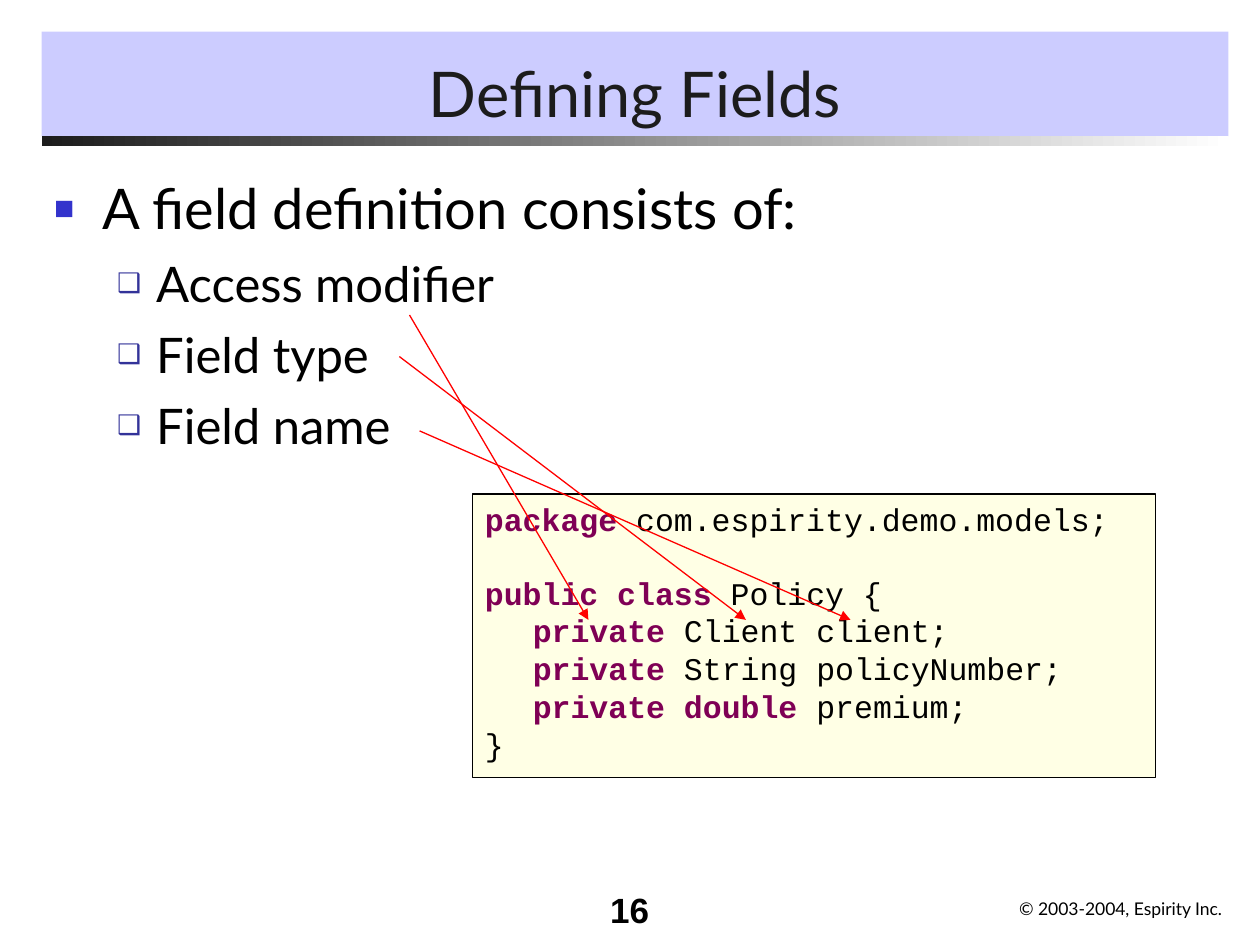
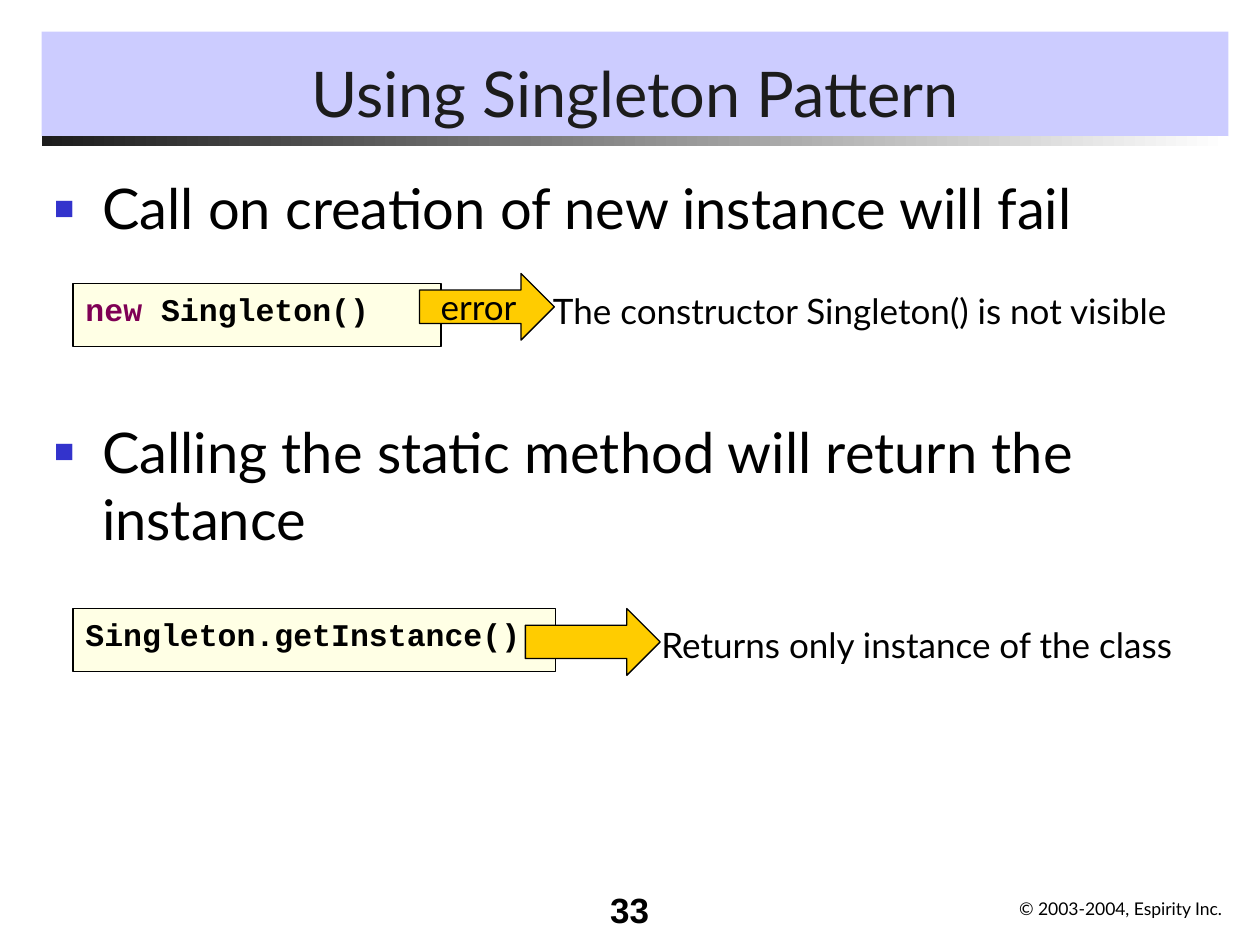
from dataclasses import dataclass

from lxml import etree
from pptx import Presentation
from pptx.dml.color import RGBColor
from pptx.enum.shapes import MSO_CONNECTOR, MSO_SHAPE
from pptx.enum.text import MSO_ANCHOR, MSO_AUTO_SIZE, PP_ALIGN
from pptx.oxml.ns import qn
from pptx.util import Inches, Pt

# Colours
BLACK = RGBColor(0x00, 0x00, 0x00)
WHITE = RGBColor(0xFF, 0xFF, 0xFF)
CHARCOAL = RGBColor(0x1C, 0x1C, 0x1C)
LAVENDER = RGBColor(0xCC, 0xCC, 0xFF)
BLUE = RGBColor(0x33, 0x33, 0xCC)
NAVY = RGBColor(0x33, 0x33, 0x99)
CREAM = RGBColor(0xFF, 0xFF, 0xCC)
KEYWORD = RGBColor(0x7F, 0x00, 0x55)
AMBER = RGBColor(0xFF, 0xCC, 0x00)
RED = RGBColor(0xFF, 0x00, 0x00)

# Enum members
RECT, RIGHT_ARROW = MSO_SHAPE.RECTANGLE, MSO_SHAPE.RIGHT_ARROW
STRAIGHT = MSO_CONNECTOR.STRAIGHT
TOP, MIDDLE, BOTTOM = MSO_ANCHOR.TOP, MSO_ANCHOR.MIDDLE, MSO_ANCHOR.BOTTOM
LEFT, CENTER, RIGHT = PP_ALIGN.LEFT, PP_ALIGN.CENTER, PP_ALIGN.RIGHT
NO_AUTOFIT = MSO_AUTO_SIZE.NONE

# Text formats
TITLE = dict(name="Lato", size=Pt(36), color=CHARCOAL)
NUMBER = dict(name="Arial", size=Pt(20), bold=True, color=BLACK)
FOOTER = dict(name="Lato", size=Pt(10), color=BLACK)
LABEL = dict(name="Lato", size=Pt(20), color=BLACK)
CODE = dict(name="Courier New", size=Pt(18), bold=False, color=BLACK)
CODE_BOLD = {**CODE, "bold": True}
CODE_KEY = {**CODE_BOLD, "color": KEYWORD}

CODE_INDENT = 0.38
CODE_LINE_PT = 20.4
COPYRIGHT = "© 2003-2004, Espirity Inc."


@dataclass
class Level:
    size: float
    margin: float
    hanging: float
    before: float
    char: str
    color: RGBColor
    percent: int


LEVELS = (
    Level(32, 0.38, 0.38, 8, "■", BLUE, 60),
    Level(28, 0.81, 0.31, 7, "❑", NAVY, 55),
)


@dataclass
class Item:
    text: str
    level: int = 0
    gap_lines: int = 0  # whole lines left open above the item


@dataclass
class CodeLine:
    runs: list
    gap_lines: int = 0


@dataclass
class Box:
    left: float
    top: float
    width: float
    height: float

    def emu(self) -> tuple:
        return tuple(Inches(v) for v in (self.left, self.top, self.width, self.height))


def add_run(p, text: str, fmt: dict) -> None:
    r = p.add_run()
    r.text = text
    for key, value in fmt.items():
        if key == "color":
            r.font.color.rgb = value
        else:
            setattr(r.font, key, value)


def set_indent(p, margin: float, hanging: float) -> None:
    pPr = p._p.get_or_add_pPr()
    pPr.set("marL", str(Inches(margin)))
    pPr.set("indent", str(-Inches(hanging)))


def set_bullet(p, level: Level) -> None:
    pPr = p._p.get_or_add_pPr()
    clr = etree.SubElement(pPr, qn("a:buClr"))
    etree.SubElement(clr, qn("a:srgbClr"), val=str(level.color))
    etree.SubElement(pPr, qn("a:buSzPct"), val=str(level.percent * 1000))
    etree.SubElement(pPr, qn("a:buFont"), typeface="Arial")
    etree.SubElement(pPr, qn("a:buChar"), char=level.char)


def setup_frame(tf, anchor=TOP, wrap: bool = True) -> None:
    values = dict(vertical_anchor=anchor, word_wrap=wrap, auto_size=NO_AUTOFIT,
                  margin_left=Inches(0.1), margin_right=Inches(0.1),
                  margin_top=Inches(0.05), margin_bottom=Inches(0.05))
    for key, value in values.items():
        setattr(tf, key, value)


def place(sp, box: Box) -> None:
    sp.left, sp.top, sp.width, sp.height = box.emu()


def add_text(s, box: Box, text: str, fmt: dict, align=LEFT, wrap: bool = False) -> None:
    tf = s.shapes.add_textbox(*box.emu()).text_frame
    setup_frame(tf, wrap=wrap)
    p = tf.paragraphs[0]
    p.alignment = align
    add_run(p, text, fmt)


def add_outlined(s, kind, box: Box, color: RGBColor):
    sp = s.shapes.add_shape(kind, *box.emu())
    sp.shadow.inherit = False
    sp.fill.solid()
    sp.fill.fore_color.rgb = color
    sp.line.color.rgb = BLACK
    sp.line.width = Pt(0.75)
    return sp


def add_code(s, box: Box, lines: list) -> None:
    sp = add_outlined(s, RECT, box, CREAM)
    fill_color = sp._element.spPr.find(qn("a:solidFill"))[0]
    etree.SubElement(fill_color, qn("a:alpha"), val="50000")
    tf = sp.text_frame
    setup_frame(tf)
    for i, line in enumerate(lines):
        p = tf.add_paragraph() if i else tf.paragraphs[0]
        p.alignment = LEFT
        set_indent(p, CODE_INDENT, CODE_INDENT)
        if line.gap_lines:
            p.space_before = Pt(line.gap_lines * CODE_LINE_PT)
        for text, fmt in line.runs:
            add_run(p, text, fmt)


def add_block_arrow(s, left: float, top: float, text: str = "") -> None:
    sp = add_outlined(s, RIGHT_ARROW, Box(left, top, 1.07, 0.53), AMBER)
    if text:
        setup_frame(sp.text_frame, MIDDLE, wrap=False)
        p = sp.text_frame.paragraphs[0]
        p.alignment = CENTER
        add_run(p, text, LABEL)


def add_pointer(s, start: tuple, end: tuple) -> None:
    points = [Inches(v) for v in start + end]
    c = s.shapes.add_connector(STRAIGHT, *points)
    c.line.color.rgb = RED
    c.line.width = Pt(0.75)
    etree.SubElement(c.line._get_or_add_ln(), qn("a:tailEnd"), type="triangle")
    etree.SubElement(c._element.spPr, qn("a:effectLst"))


def fill_body(sp, items: list) -> None:
    place(sp, Box(0.33, 1.33, 9.46, 5.42))
    tf = sp.text_frame
    setup_frame(tf)
    for i, item in enumerate(items):
        level = LEVELS[item.level]
        p = tf.add_paragraph() if i else tf.paragraphs[0]
        p.level = item.level
        line_pt = level.size * 1.2 + level.before
        p.space_before = Pt(level.before + item.gap_lines * line_pt if i else 0)
        set_indent(p, level.margin, level.hanging)
        set_bullet(p, level)
        add_run(p, item.text, dict(name="Lato", size=Pt(level.size), color=BLACK))


def add_slide(prs, title: str, number: int, items: list):
    s = prs.slides.add_slide(prs.slide_layouts[1])

    # Title band
    sp = s.shapes.title
    place(sp, Box(0.33, 0.25, 9.42, 0.83))
    sp.fill.solid()
    sp.fill.fore_color.rgb = LAVENDER
    setup_frame(sp.text_frame, BOTTOM)
    p = sp.text_frame.paragraphs[0]
    p.alignment = CENTER
    add_run(p, title, TITLE)

    # Fading rule under the title
    rule = s.shapes.add_shape(RECT, *Box(0.33, 1.08, 9.42, 0.08).emu())
    rule.shadow.inherit = False
    rule.line.fill.background()
    rule.fill.gradient()
    rule.fill.gradient_angle = 0
    for stop, color in zip(rule.fill.gradient_stops, (CHARCOAL, WHITE)):
        stop.color.rgb = color

    # Footer
    add_text(s, Box(4.42, 7, 0.83, 0.5), str(number), NUMBER, RIGHT, wrap=True)
    add_text(s, Box(7.99, 7.08, 1.85, 0.27), COPYRIGHT, FOOTER)

    fill_body(s.placeholders[1], items)
    return s


def build_fields(prs) -> None:
    s = add_slide(prs, "Defining Fields", 16, [
        Item("A field definition consists of:"),
        Item("Access modifier", 1),
        Item("Field type", 1),
        Item("Field name", 1),
    ])
    fields = (("private", " Client client;"),
              ("private", " String policyNumber;"),
              ("private double", " premium;"))
    add_code(s, Box(3.75, 3.92, 5.42, 2.25), [
        CodeLine([("package ", CODE_KEY), ("com.espirity.demo.models;", CODE)]),
        CodeLine([("public class", CODE_KEY), (" Policy {", CODE)], gap_lines=1),
        *(CodeLine([("\t" + key, CODE_KEY), (rest, CODE)]) for key, rest in fields),
        CodeLine([("}", CODE)]),
    ])
    # Pointers from each part to its place in the code
    for start, end_x in (((3.33, 3.42), 6.75), ((3.17, 2.83), 5.92), ((3.25, 2.5), 4.67)):
        add_pointer(s, start, (end_x, 4.92))


def build_singleton(prs) -> None:
    s = add_slide(prs, "Using Singleton Pattern", 33, [
        Item("Call on creation of new instance will fail"),
        Item("Calling the static method will return the instance", gap_lines=2),
    ])
    # Failing call
    add_code(s, Box(0.58, 2.25, 2.92, 0.5),
             [CodeLine([("new", CODE_KEY), (" Singleton()", CODE_BOLD)])])
    add_text(s, Box(4.29, 2.25, 5.42, 0.44),
             "The constructor Singleton() is not visible", LABEL)
    add_block_arrow(s, 3.33, 2.17, "error")

    # Working call
    add_code(s, Box(0.58, 4.83, 3.83, 0.5),
             [CodeLine([("Singleton.getInstance()", CODE_BOLD)])])
    add_block_arrow(s, 4.17, 4.83)
    add_text(s, Box(5.15, 4.9, 4.55, 0.44), "Returns only instance of the class", LABEL)


def main() -> None:
    prs = Presentation()
    prs.slide_width, prs.slide_height = Inches(10), Inches(7.5)
    build_fields(prs)
    build_singleton(prs)
    prs.save("out.pptx")


if __name__ == "__main__":
    main()
